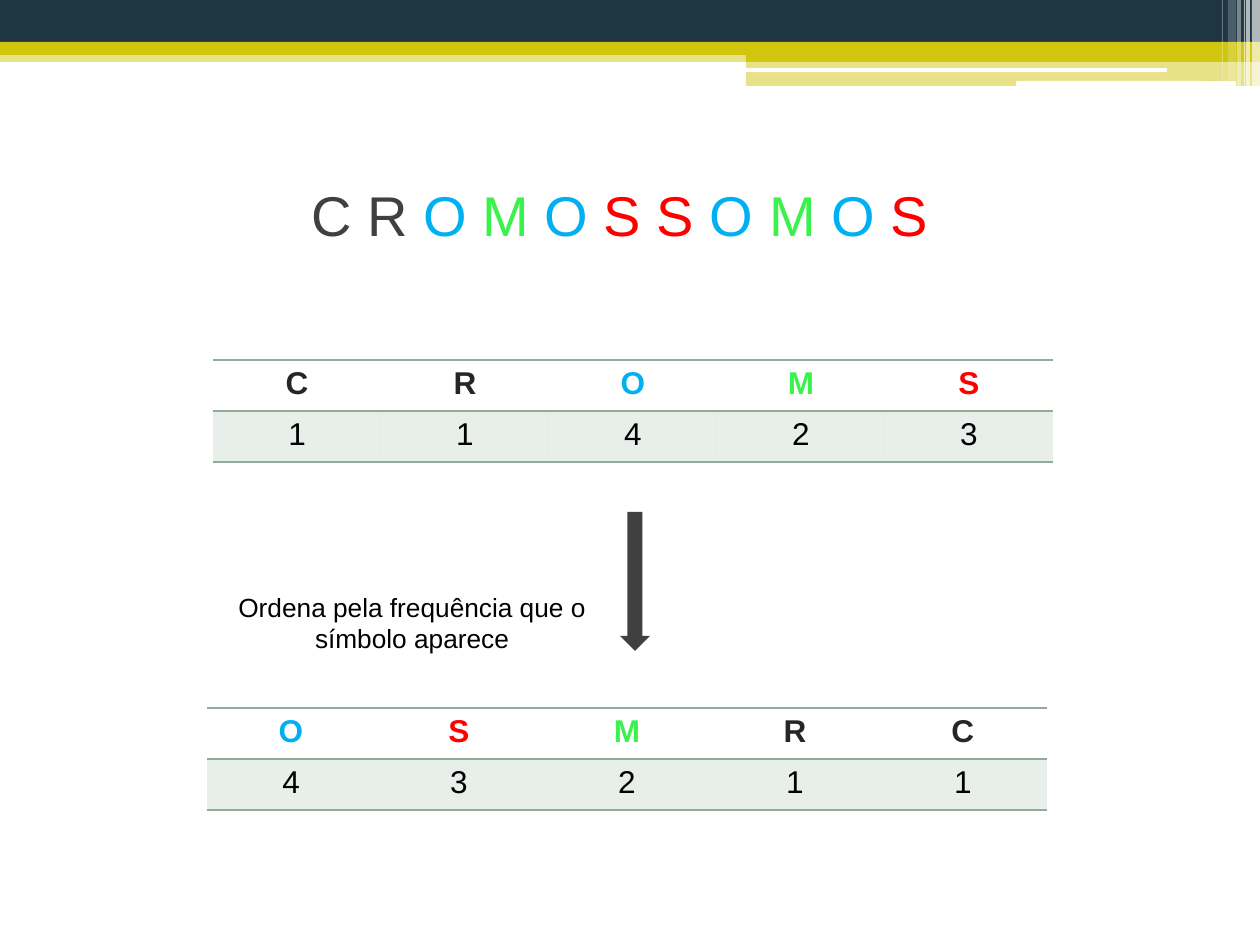
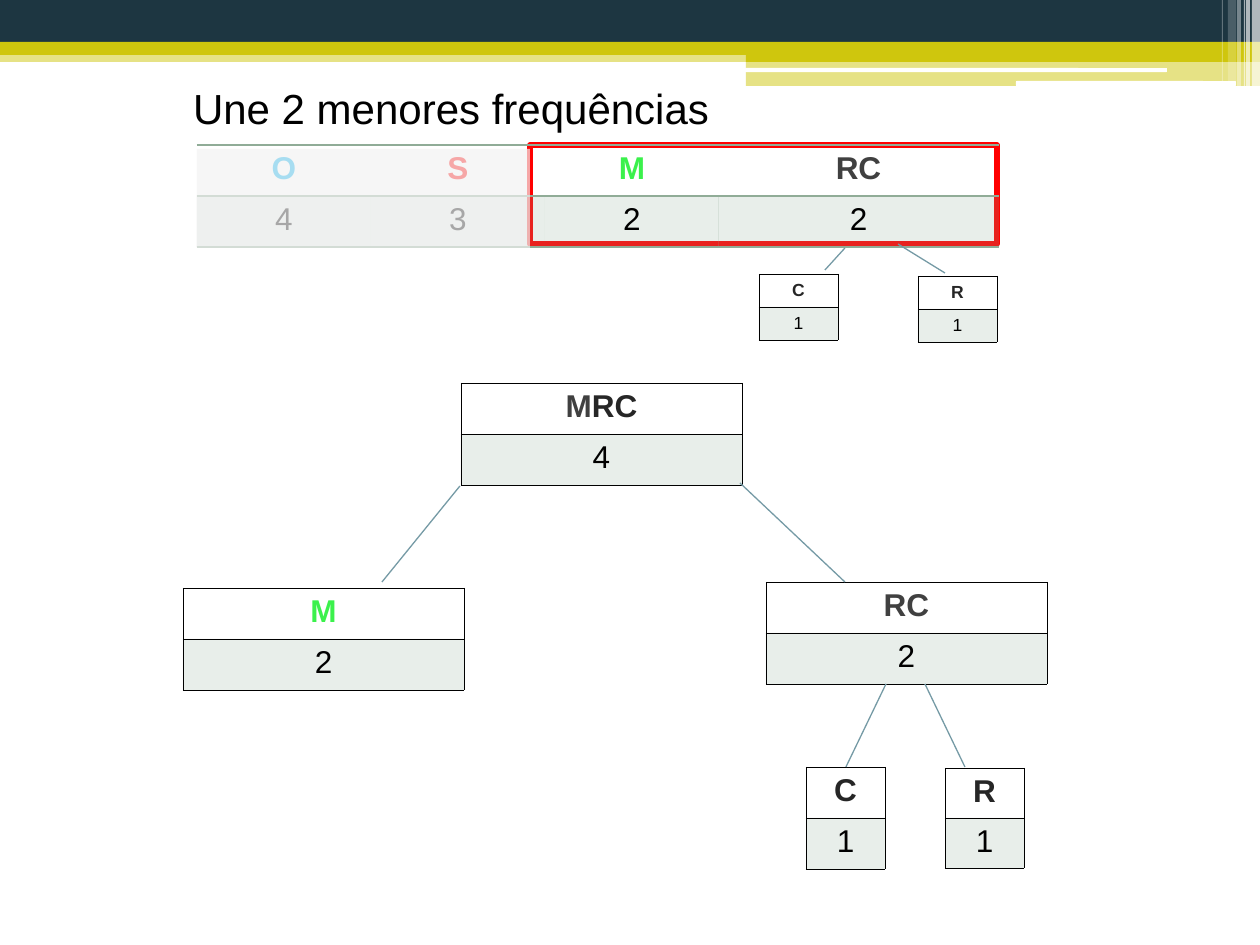
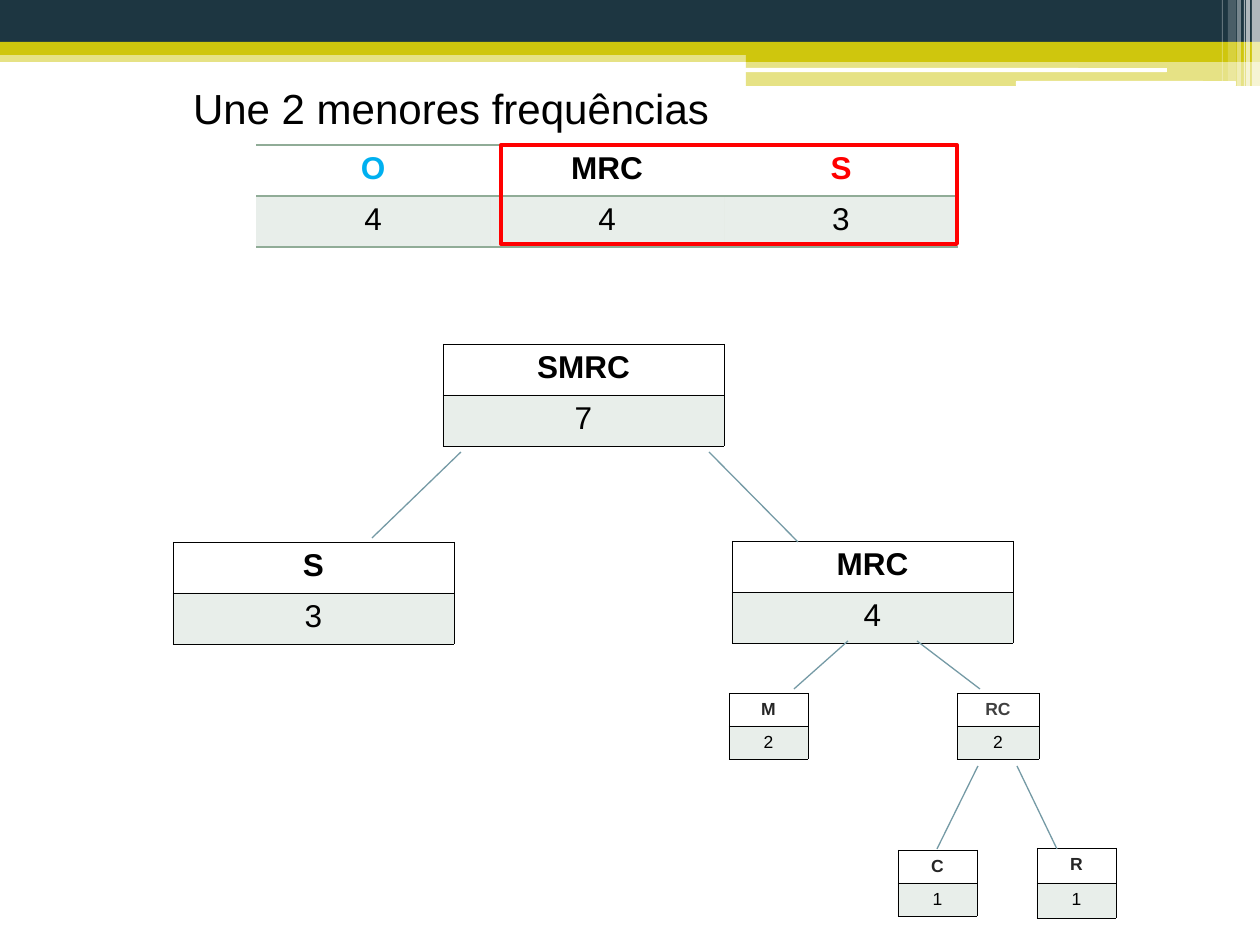
import dataclasses

import pptx
import pptx.dml.color
import pptx.enum.shapes
import pptx.enum.text
import pptx.oxml
import pptx.oxml.ns
import pptx.util
import lxml.etree


@dataclasses.dataclass(frozen=True)
class Theme:
    font: str = "Arial"
    navy: str = "1D3641"
    olive: str = "CFC60D"
    white: str = "FFFFFF"
    black: str = "000000"
    ink: str = "262626"
    gray: str = "404040"
    blue: str = "00B0F0"
    green: str = "3BF14C"
    red: str = "FF0000"
    sage: str = "90AC97"
    link: str = "759AA5"
    veil: str = "F2F2F2"
    word_size: int = 32
    title_size: int = 24
    cell_size: int = 18
    caption_size: int = 15
    small_size: int = 10


theme = Theme()
PIXEL = 914400 // 126
NO_STYLE = "{2D5ABB26-0587-4C30-8999-92F81FD0307C}"
RECTANGLE = pptx.enum.shapes.MSO_SHAPE.RECTANGLE
ROUNDED = pptx.enum.shapes.MSO_SHAPE.ROUNDED_RECTANGLE
rgb = pptx.dml.color.RGBColor.from_string


def paint(target, element, color, opacity=100):
    target.fill.solid()
    target.fill.fore_color.rgb = rgb(color)
    if opacity < 100:
        fill_color = element.xpath("./*/a:solidFill/a:srgbClr")[0]
        alpha = lxml.etree.SubElement(fill_color, pptx.oxml.ns.qn("a:alpha"))
        alpha.set("val", str(opacity * 1000))


def write(text_frame, runs, size, bold=False):
    paragraph = text_frame.paragraphs[0]
    paragraph.alignment = pptx.enum.text.PP_ALIGN.CENTER
    paragraph.font.name = theme.font
    paragraph.font.size = pptx.util.Pt(size)
    paragraph.font.bold = bold
    for text, color in runs:
        run = paragraph.add_run()
        run.text = text
        run.font.color.rgb = rgb(color)


presentation = pptx.Presentation()
presentation.slide_width = pptx.util.Inches(10)
presentation.slide_height = pptx.util.Inches(7.5)
title_only = presentation.slide_layouts[5]

C = ([("C", theme.ink)], 1)
R = ([("R", theme.ink)], 1)
O = ([("O", theme.blue)], 4)
M = ([("M", theme.green)], 2)
S = ([("S", theme.red)], 3)
RC = ([("RC", theme.gray)], 2)
MRC = ([("MRC", theme.black)], 4)

merge_title = [("Une 2 menores frequências", theme.black)]
merge_title_box = (54, 76, 794, 63)
NODE, LEAF = 281, 79
TALL, SHORT = 51, 33

# Each table is left, top, column width, row height, type size, boxed, columns.
steps = [
    {
        "title": [
            ("C R ", theme.gray), ("O ", theme.blue), ("M ", theme.green),
            ("O ", theme.blue), ("S S ", theme.red), ("O ", theme.blue),
            ("M ", theme.green), ("O ", theme.blue), ("S", theme.red),
        ],
        "title_box": (54, 174, 1131, 81),
        "title_size": theme.word_size,
        "tables": [
            (213, 360, 168, TALL, theme.cell_size, False, [C, R, O, M, S]),
            (207, 708, 168, TALL, theme.cell_size, False, [O, S, M, R, C]),
        ],
        "links": [],
    },
    {
        "title": merge_title,
        "title_box": merge_title_box,
        "title_size": theme.title_size,
        "tables": [
            (197, 145, 174, TALL, theme.cell_size, False, [O, S, M]),
            (718, 145, NODE, TALL, theme.cell_size, False, [RC]),
            (759, 274, LEAF, SHORT, theme.small_size, True, [C]),
            (918, 276, LEAF, SHORT, theme.small_size, True, [R]),
            (461, 383, NODE, TALL, theme.cell_size, True,
             [([("M", theme.gray), ("RC", theme.ink)], 4)]),
            (183, 588, NODE, TALL, theme.cell_size, True, [M]),
            (766, 582, NODE, TALL, theme.cell_size, True, [RC]),
            (806, 767, LEAF, TALL, theme.cell_size, True, [C]),
            (945, 768, LEAF, 50, theme.cell_size, True, [R]),
        ],
        "links": [
            (460, 486, 382, 582), (740, 483, 845, 582),
            (845, 248, 825, 270), (898, 244, 945, 273),
            (886, 684, 846, 767), (925, 684, 965, 767),
        ],
        "frame": (530, 145, 467, 99),
        "frame_width": 3,
        "veil": (197, 149, 333, 99),
    },
    {
        "title": merge_title,
        "title_box": merge_title_box,
        "title_size": theme.title_size,
        "tables": [
            (256, 145, 234, TALL, theme.cell_size, False, [O, MRC, S]),
            (443, 344, NODE, TALL, theme.cell_size, True,
             [([("SMRC", theme.black)], 7)]),
            (173, 542, NODE, TALL, theme.cell_size, True,
             [([("S", theme.black)], 3)]),
            (732, 541, NODE, TALL, theme.cell_size, True, [MRC]),
            (729, 693, LEAF, SHORT, theme.small_size, True,
             [([("M", theme.ink)], 2)]),
            (957, 693, 82, SHORT, theme.small_size, True, [RC]),
            (898, 850, LEAF, SHORT, theme.small_size, True, [C]),
            (1037, 848, LEAF, 35, theme.small_size, True, [R]),
        ],
        "links": [
            (461, 452, 372, 538), (709, 452, 798, 542),
            (848, 641, 794, 689), (917, 641, 980, 689),
            (978, 766, 937, 849), (1017, 766, 1057, 849),
        ],
        "frame": (501, 145, 456, 99),
        "frame_width": 2.25,
    },
]

slides = [presentation.slides.add_slide(title_only) for step in steps]

bands = [
    (RECTANGLE, (0, 50, 1260, 12), theme.olive, 50),
    (RECTANGLE, (0, 0, 1260, 43), theme.navy, 100),
    (RECTANGLE, (0, 42, 1260, 13), theme.olive, 100),
    (RECTANGLE, (746, 49, 514, 13), theme.olive, 100),
    (RECTANGLE, (746, 62, 514, 24), theme.olive, 50),
    (ROUNDED, (745, 68, 422, 4), theme.white, 100),
    (ROUNDED, (1016, 81, 220, 5), theme.white, 100),
    (RECTANGLE, (1252, 0, 8, 86), theme.white, 65),
    (RECTANGLE, (1246, 0, 4, 86), theme.white, 65),
    (RECTANGLE, (1244, 0, 1, 86), theme.white, 60),
    (RECTANGLE, (1237, 0, 4, 86), theme.white, 40),
    (RECTANGLE, (1228, 0, 8, 81), theme.white, 20),
    (RECTANGLE, (1222, 0, 1, 81), theme.white, 30),
]
master_tree = presentation.slide_master.shapes.element
for index, (kind, box, color, opacity) in enumerate(bands):
    band = slides[0].shapes.add_shape(kind, *(value * PIXEL for value in box))
    band.shadow.inherit = False
    band.line.fill.background()
    paint(band, band.element, color, opacity)
    band.element.nvSpPr.cNvPr.id = 100 + index
    master_tree.insert(2 + index, band.element)

for slide, step in zip(slides, steps):
    title = slide.shapes.title
    title.left, title.top, title.width, title.height = (
        value * PIXEL for value in step["title_box"])
    title.text_frame.auto_size = pptx.enum.text.MSO_AUTO_SIZE.NONE
    title.text_frame.vertical_anchor = pptx.enum.text.MSO_ANCHOR.TOP
    write(title.text_frame, step["title"], step["title_size"])

    for left, top, width, row_height, size, boxed, columns in step["tables"]:
        table_shape = slide.shapes.add_table(
            2, len(columns), left * PIXEL, top * PIXEL,
            width * len(columns) * PIXEL, 2 * row_height * PIXEL)
        table_shape.element.xpath(".//a:tableStyleId")[0].text = NO_STYLE
        table = table_shape.table
        table.first_row = table.horz_banding = False
        sides, color, points = (
            ("LRTB", theme.black, 0.25) if boxed else ("TB", theme.sage, 1))
        for column, (label, count) in enumerate(columns):
            header, value = table.cell(0, column), table.cell(1, column)
            write(header.text_frame, label, size, bold=True)
            write(value.text_frame, [(str(count), theme.black)], size)
            for cell in (header, value):
                properties = cell._tc.get_or_add_tcPr()
                for side in sides:
                    properties.append(pptx.oxml.parse_xml(
                        f'<a:ln{side} {pptx.oxml.ns.nsdecls("a")} '
                        f'w="{pptx.util.Pt(points)}"><a:solidFill>'
                        f'<a:srgbClr val="{color}"/></a:solidFill></a:ln{side}>'))
            header.fill.background()
            paint(value, value._tc, theme.sage, 20)

    if "veil" in step:
        veil = slide.shapes.add_shape(
            RECTANGLE, *(value * PIXEL for value in step["veil"]))
        veil.shadow.inherit = False
        veil.line.fill.background()
        paint(veil, veil.element, theme.veil, 69)

    for ends in step["links"]:
        link = slide.shapes.add_connector(
            pptx.enum.shapes.MSO_CONNECTOR.STRAIGHT,
            *(value * PIXEL for value in ends))
        link.line.color.rgb = rgb(theme.link)
        link.line.width = pptx.util.Pt(0.75)
        lxml.etree.SubElement(
            link.element.spPr, pptx.oxml.ns.qn("a:effectLst"))

    if "frame" in step:
        frame = slide.shapes.add_shape(
            RECTANGLE, *(value * PIXEL for value in step["frame"]))
        frame.shadow.inherit = False
        frame.fill.background()
        frame.line.color.rgb = rgb(theme.red)
        frame.line.width = pptx.util.Pt(step["frame_width"])
        if "veil" in step:
            slide.shapes.element.insert(2, frame.element)

arrow = slides[0].shapes.add_shape(
    pptx.enum.shapes.MSO_SHAPE.DOWN_ARROW,
    *(value * PIXEL for value in (620, 512, 30, 139)))
arrow.shadow.inherit = False
arrow.line.fill.background()
paint(arrow, arrow.element, theme.gray)

caption = slides[0].shapes.add_textbox(
    *(value * PIXEL for value in (194, 585, 436, 77)))
caption.text_frame.word_wrap = True
write(caption.text_frame,
      [("Ordena pela frequência que o símbolo aparece", theme.black)],
      theme.caption_size)

presentation.save("out.pptx")
